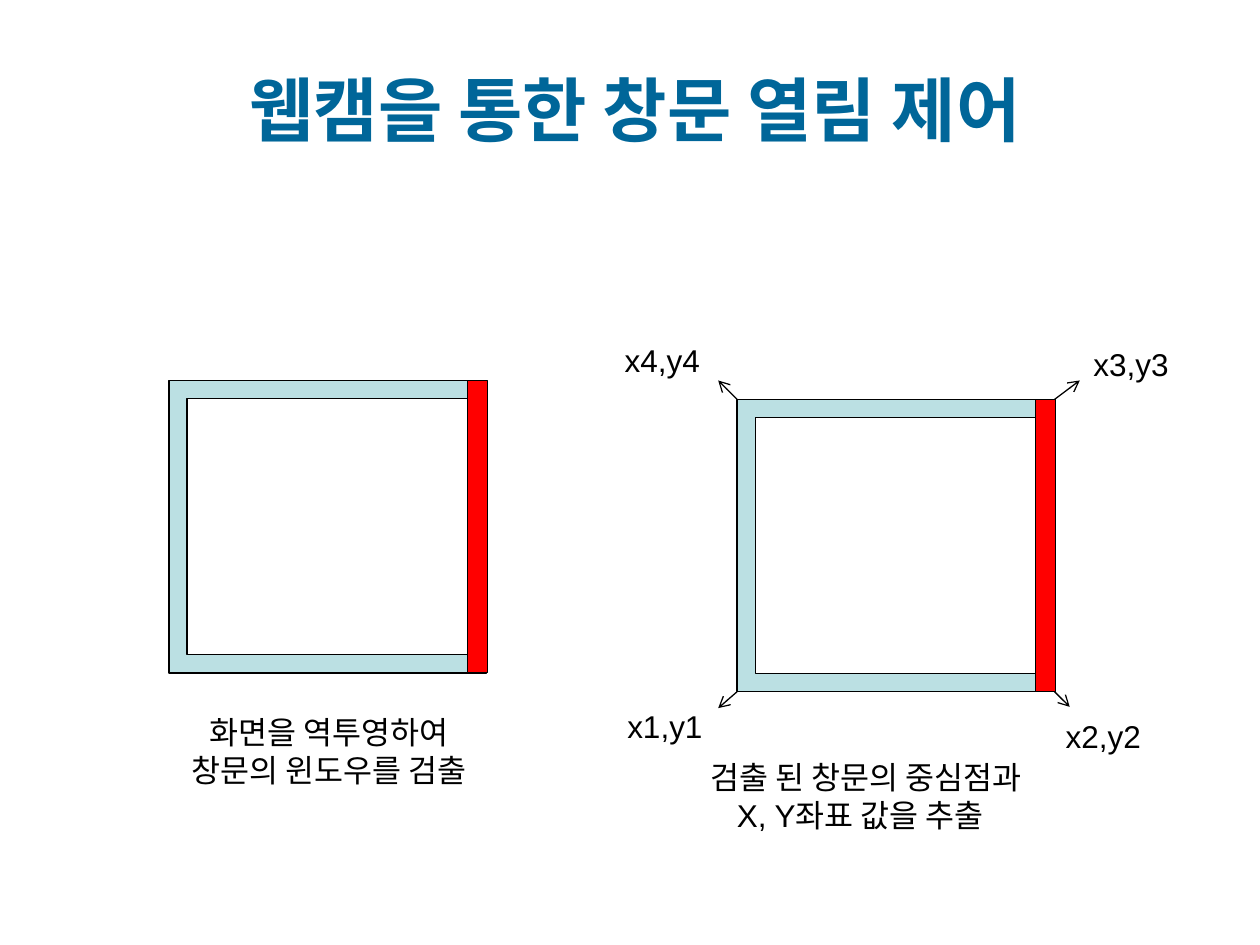
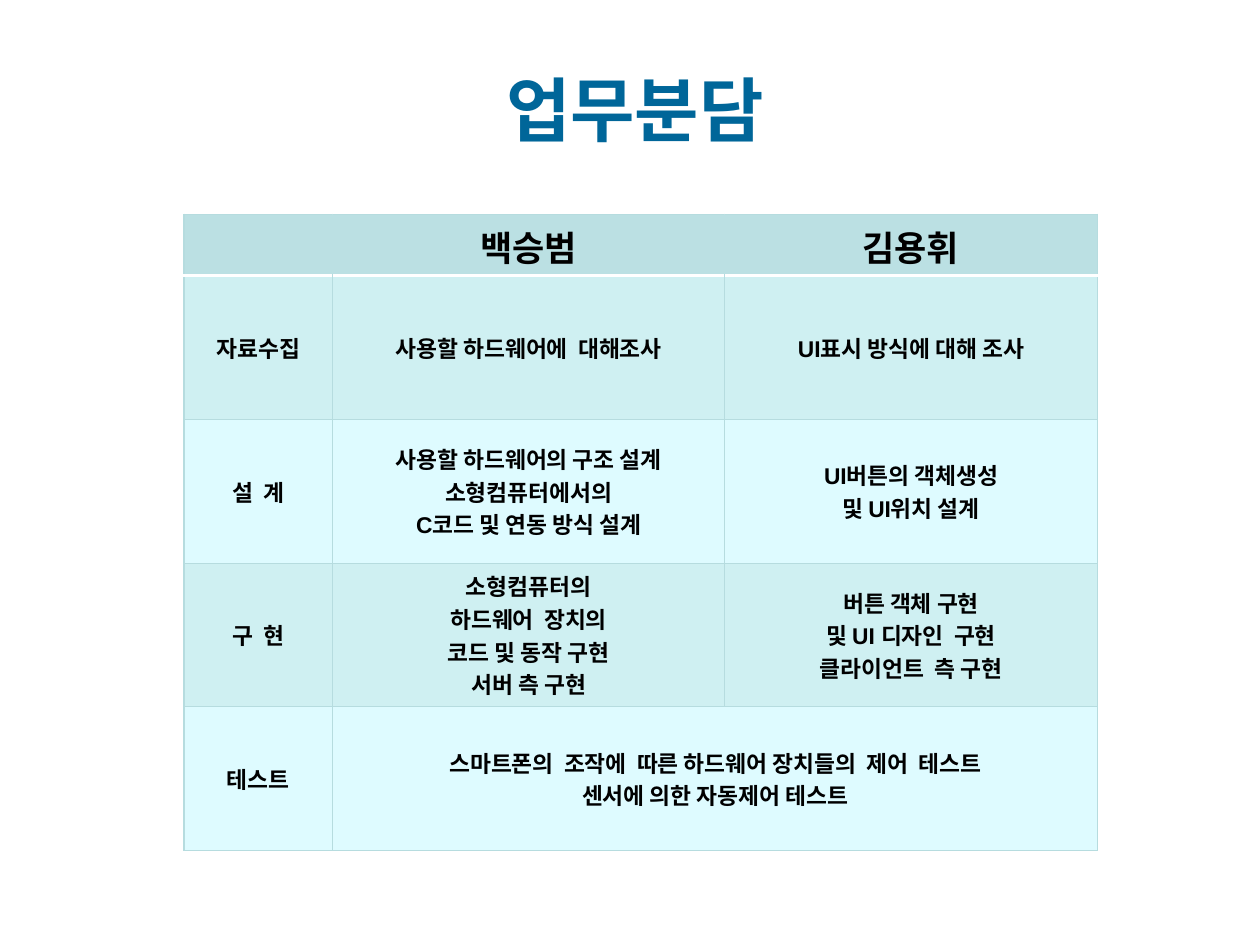
import dataclasses
import lxml.etree
import pptx
import pptx.dml.color
import pptx.enum.shapes
import pptx.enum.text
import pptx.oxml
import pptx.oxml.ns
import pptx.util

Inches = pptx.util.Inches
Pt = pptx.util.Pt
Color = pptx.dml.color.RGBColor.from_string
Align = pptx.enum.text.PP_ALIGN
Shape = pptx.enum.shapes.MSO_SHAPE
Middle = pptx.enum.text.MSO_ANCHOR.MIDDLE
qn = pptx.oxml.ns.qn


@dataclasses.dataclass
class Theme:
    blue: str = "006699"
    black: str = "000000"
    teal: str = "BBE0E3"
    red: str = "FF0000"
    white: str = "FFFFFF"
    edge: str = "B6DCDF"
    bands: tuple = ("CFF0F2", "DEFBFF")
    font: str = "Arial"
    display: str = "League Spartan"
    title: int = 40
    head: int = 20
    label: int = 18
    cell: int = 13
    line: float = 0.75


theme = Theme()


def write(frame, text, size, color=theme.black, bold=False, font=theme.font, align=Align.CENTER):
    frame.text = text
    for para in frame.paragraphs:
        para.alignment = align
        for run in para.runs:
            run.font.name = font
            run.font.size = Pt(size)
            run.font.bold = bold
            run.font.color.rgb = Color(color)


def add_text(slide, box, text, size, **style):
    frame = slide.shapes.add_textbox(*map(Inches, box)).text_frame
    frame.word_wrap = True
    write(frame, text, size, **style)
    return frame


deck = pptx.Presentation()
deck.slide_width = Inches(10)
deck.slide_height = Inches(7.5)

slides = []
for title in ("웹캠을 통한 창문 열림 제어", "업무분담"):
    slide = deck.slides.add_slide(deck.slide_layouts[6])
    frame = add_text(slide, (0.58, 0.3, 8.92, 1.12), title, theme.title,
                     color=theme.blue, bold=True, font=theme.display)
    frame.vertical_anchor = Middle
    slides.append(slide)
window, duties = slides

wide, high, bar = 2.52, 2.32, 0.16
for left, top in ((1.34, 3.02), (5.85, 3.17)):
    parts = (
        (Shape.FRAME, left, wide, theme.teal),
        (Shape.RECTANGLE, left + wide - bar + 0.01, bar, theme.red),
    )
    for kind, start, width, fill in parts:
        part = window.shapes.add_shape(kind, Inches(start), Inches(top), Inches(width), Inches(high))
        part.shadow.inherit = False
        part.fill.solid()
        part.fill.fore_color.rgb = Color(fill)
        part.line.color.rgb = Color(theme.black)
        part.line.width = Pt(theme.line)
        if kind == Shape.FRAME:
            part.adjustments[0] = 0.062

corners = (
    ("x1,y1", (4.88, 5.56), (5.85, 5.49), (5.7, 5.62)),
    ("x2,y2", (8.36, 5.64), (8.37, 5.49), (8.49, 5.61)),
    ("x3,y3", (8.58, 2.69), (8.37, 3.17), (8.57, 3.02)),
    ("x4,y4", (4.86, 2.66), (5.85, 3.17), (5.7, 3.02)),
)
for label, place, start, end in corners:
    arrow = window.shapes.add_connector(pptx.enum.shapes.MSO_CONNECTOR.STRAIGHT,
                                        *map(Inches, start + end))
    arrow.line.color.rgb = Color(theme.black)
    arrow.line.width = Pt(theme.line)
    lxml.etree.SubElement(arrow.line._get_or_add_ln(), qn("a:tailEnd"), type="arrow")
    lxml.etree.SubElement(arrow._element.spPr, qn("a:effectLst"))
    add_text(window, place + (0.89, 0.4), label, theme.label, align=Align.LEFT)

add_text(window, (1.21, 5.61, 2.8, 0.7), "화면을 역투영하여\n창문의 윈도우를 검출", theme.label)
note = add_text(window, (5.54, 5.97, 3.27, 0.7), "검출 된 창문의 중심점과\nX, Y좌표 값을 추출",
                theme.label, align=Align.LEFT)
note.paragraphs[1]._p.get_or_add_pPr().set("marL", str(Inches(0.21)))

rows = (
    ("", "백승범", "김용휘"),
    ("자료수집", "사용할 하드웨어에  대해조사", "UI표시 방식에 대해 조사"),
    ("설  계", "사용할 하드웨어의 구조 설계\n소형컴퓨터에서의\nC코드 및 연동 방식 설계",
     "UI버튼의 객체생성\n및 UI위치 설계"),
    ("구  현", "소형컴퓨터의\n하드웨어  장치의\n코드 및 동작 구현\n서버 측 구현",
     "버튼 객체 구현\n및 UI 디자인  구현\n클라이언트  측 구현"),
    ("테스트", "스마트폰의  조작에  따른 하드웨어 장치들의  제어  테스트\n센서에 의한 자동제어 테스트", ""),
)
widths = (1.18, 3.11, 2.96)
heights = (0.49,) + (1.14,) * 4
table = duties.shapes.add_table(len(rows), len(widths), Inches(1.46), Inches(1.7),
                                Inches(sum(widths)), Inches(sum(heights))).table
for col, width in zip(table.columns, widths):
    col.width = Inches(width)
for row, height in zip(table.rows, heights):
    row.height = Inches(height)
table.cell(4, 1).merge(table.cell(4, 2))

for r, row in enumerate(rows):
    for c, text in enumerate(row):
        cell = table.cell(r, c)
        cell.vertical_anchor = Middle
        if text:
            write(cell.text_frame, text, theme.cell if r else theme.head, bold=True)
        props = cell._tc.get_or_add_tcPr()
        for side in "LRTB":
            rule = (r, side) in ((0, "B"), (1, "T"))
            inner = r == 0 and (side, c) in (("L", 1), ("L", 2), ("R", 0), ("R", 1))
            color = theme.white if rule else theme.teal if inner else theme.edge
            line = lxml.etree.SubElement(props, qn("a:ln" + side),
                                         w=str(Pt(2 if rule else theme.line)))
            fill = lxml.etree.SubElement(line, qn("a:solidFill"))
            lxml.etree.SubElement(fill, qn("a:srgbClr"), val=color)
        cell.fill.solid()
        cell.fill.fore_color.rgb = Color(theme.bands[(r - 1) % 2] if r else theme.teal)

deck.save("out.pptx")
